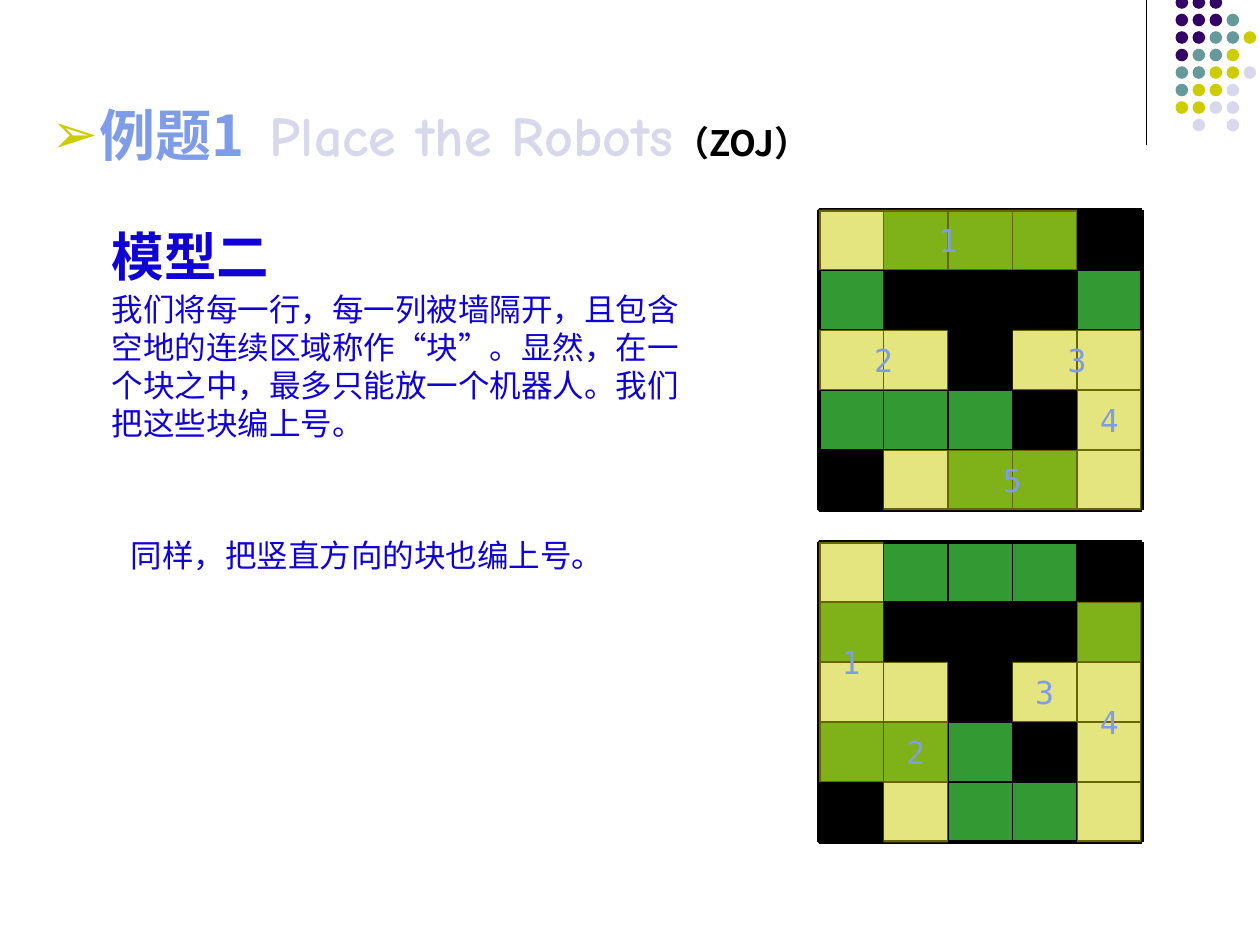
from dataclasses import dataclass

import pptx
import pptx.dml.color
import pptx.enum.shapes
import pptx.enum.text
import pptx.oxml
import pptx.oxml.ns
import pptx.util
from pptx.util import Inches, Pt

WIDTH, HEIGHT = 10, 7.5
COLORS = {
    "black": "000000", "purple": "330066", "teal": "669999", "olive": "CCCC00",
    "lilac": "D8D8EC", "green": "339933", "blue": "1001D5", "sky": "7E9CE8",
}
CJK = "Noto Sans CJK SC"
SHAPE = pptx.enum.shapes.MSO_SHAPE
ANCHOR = pptx.enum.text.MSO_ANCHOR
ALIGN = pptx.enum.text.PP_ALIGN

DOT_KEYS = {"P": "purple", "T": "teal", "O": "olive", "L": "lilac"}
DOT_ROWS = ["PPP", "PPPT", "PPTTO", "PTTO", "TTOOL", "TOOL", "OOLL", " L L"]
DOT_LEFT, DOT_TOP, DOT_SIZE = 0.933 * WIDTH, -0.004 * HEIGHT, 0.1
DOT_STEP_X, DOT_STEP_Y = 0.135, 0.139

# G is grass, W is wall, a point is an empty square
CELL_KEYS = {"G": "green", "W": "black"}
CELL_ROWS = [".GGGW", "GWWWG", "..W..", "GGGW.", "W.GG."]
COLUMN, ROW = 2.56 / 5, 2.385 / 5
BOARD_LEFT = 0.65 * WIDTH


@dataclass
class Span:
    text: str
    font: str
    color: str
    size: float
    bold: bool = False


@dataclass
class Block:
    """A numbered run of squares, measured in board columns and rows."""
    label: str
    column: int
    row: int
    columns: int = 1
    rows: int = 1


@dataclass
class Board:
    top: float
    blocks: list[Block]


BOARDS = [
    Board(1.665, [Block("1", 0, 0, columns=4), Block("2", 0, 2, columns=2),
                  Block("3", 3, 2, columns=2), Block("4", 4, 3),
                  Block("5", 1, 4, columns=4)]),
    Board(4.3, [Block("1", 0, 0, rows=4), Block("2", 1, 2, rows=3),
                Block("3", 3, 2), Block("4", 4, 1, rows=4)]),
]


def rgb(name: str):
    return pptx.dml.color.RGBColor.from_string(COLORS[name])


def write(frame, spans: list[Span], align=ALIGN.LEFT, anchor=ANCHOR.TOP,
          line_spacing=None, bullet: str = "") -> None:
    frame.word_wrap = True
    frame.vertical_anchor = anchor
    paragraph = frame.paragraphs[0]
    paragraph.alignment = align
    if line_spacing:
        paragraph.line_spacing = line_spacing
    if bullet:
        add_bullet(paragraph, bullet, "olive", 0.38)
    for span in spans:
        run = paragraph.add_run()
        run.text = span.text
        run.font.name = span.font
        run.font.size = Pt(span.size)
        run.font.bold = span.bold
        run.font.color.rgb = rgb(span.color)
        east_asian = pptx.oxml.parse_xml(
            f'<a:ea {pptx.oxml.ns.nsdecls("a")} typeface="{CJK}"/>')
        run.font._element.find(pptx.oxml.ns.qn("a:latin")).addnext(east_asian)


def add_bullet(paragraph, symbol: str, color: str, indent: float) -> None:
    properties = paragraph._p.get_or_add_pPr()
    properties.set("marL", str(Inches(indent)))
    properties.set("indent", str(-Inches(indent)))
    names = pptx.oxml.ns.nsdecls("a")
    for xml in (f'<a:buClr {names}><a:srgbClr val="{COLORS[color]}"/></a:buClr>',
                f'<a:buFont {names} typeface="Arial"/>',
                f'<a:buChar {names} char="{symbol}"/>'):
        properties.append(pptx.oxml.parse_xml(xml))


def add_text(page, left: float, top: float, width: float, height: float,
             spans: list[Span], **options) -> None:
    box = page.shapes.add_textbox(*map(Inches, (left, top, width, height)))
    write(box.text_frame, spans, **options)


def add_shape(shapes, kind, left: float, top: float, width: float, height: float,
              fill: str | None, outline: str | None = None, alpha: int = 100):
    shape = shapes.add_shape(kind, *map(Inches, (left, top, width, height)))
    shape.shadow.inherit = False
    if fill:
        shape.fill.solid()
        shape.fill.fore_color.rgb = rgb(fill)
    else:
        shape.fill.background()
    if alpha < 100:
        color = shape._element.spPr.find(".//" + pptx.oxml.ns.qn("a:srgbClr"))
        color.append(pptx.oxml.parse_xml(
            f'<a:alpha {pptx.oxml.ns.nsdecls("a")} val="{alpha * 1000}"/>'))
    if outline:
        shape.line.color.rgb = rgb(outline)
        shape.line.width = Pt(0.75)
    else:
        shape.line.fill.background()
    return shape


def add_line(shapes, start: tuple[float, float], end: tuple[float, float],
             width: float) -> None:
    line = shapes.add_connector(pptx.enum.shapes.MSO_CONNECTOR.STRAIGHT,
                                *map(Inches, (*start, *end)))
    line.line.color.rgb = rgb("black")
    line.line.width = Pt(width)
    line._element.spPr.append(pptx.oxml.parse_xml(
        f'<a:effectLst {pptx.oxml.ns.nsdecls("a")}/>'))


def add_dots(page) -> None:
    shapes = page.shapes.add_group_shape().shapes
    for row, keys in enumerate(DOT_ROWS):
        for column, key in enumerate(keys):
            if key in DOT_KEYS:
                add_shape(shapes, SHAPE.OVAL, DOT_LEFT + column * DOT_STEP_X,
                          DOT_TOP + row * DOT_STEP_Y, DOT_SIZE, DOT_SIZE,
                          DOT_KEYS[key])


def add_board(page, board: Board) -> None:
    shapes = page.shapes.add_group_shape().shapes
    for row, keys in reversed(list(enumerate(CELL_ROWS))):
        for column, key in reversed(list(enumerate(keys))):
            add_shape(shapes, SHAPE.RECTANGLE, BOARD_LEFT + column * COLUMN,
                      board.top + row * ROW, COLUMN, ROW,
                      CELL_KEYS.get(key), outline="black")
    right, bottom = BOARD_LEFT + 5 * COLUMN, board.top + 5 * ROW
    for y in (board.top, bottom):
        add_line(shapes, (BOARD_LEFT, y), (right, y), 2.25)
    for x in (BOARD_LEFT, right):
        add_line(shapes, (x, board.top), (x, bottom), 2.25)
    for block in board.blocks:
        shape = add_shape(shapes, SHAPE.RECTANGLE,
                          BOARD_LEFT + block.column * COLUMN,
                          board.top + block.row * ROW,
                          block.columns * COLUMN, block.rows * ROW,
                          "olive", alpha=50)
        write(shape.text_frame, [Span(block.label, "DejaVu Sans Mono", "sky", 18)],
              align=ALIGN.CENTER, anchor=ANCHOR.MIDDLE)


def main() -> None:
    deck = pptx.Presentation()
    deck.slide_width, deck.slide_height = Inches(WIDTH), Inches(HEIGHT)
    page = deck.slides.add_slide(deck.slide_layouts[6])

    add_line(page.shapes, (9.1, 0), (9.1, 1.15), 0.75)
    add_dots(page)
    add_text(page, 0.31, 0.75, 9.34, 0.63, [
        Span("例题1  ", CJK, "sky", 32, bold=True),
        Span("Place the Robots", "Comic Neue", "lilac", 32, bold=True),
        Span("（ZOJ）", CJK, "black", 20, bold=True),
    ], anchor=ANCHOR.MIDDLE, bullet="➢")
    add_text(page, 0.79, 1.59, 4.59, 0.7,
             [Span("模型二", "Arial", "blue", 30, bold=True)], line_spacing=Pt(46))
    explanation = [
        ("我们将每一行，每一列被墙隔开，且包含空地的连续区域称作", "Arial"),
        ("“", CJK), ("块", "Arial"), ("”", CJK),
        ("。显然，在一个块之中，最多只能放一个机器人。我们把这些块编上号。", "Arial"),
    ]
    add_text(page, 0.79, 2.25, 4.92, 1.3,
             [Span(text, font, "blue", 18) for text, font in explanation],
             line_spacing=Pt(21.7))
    add_text(page, 0.94, 4.2, 5.28, 0.4,
             [Span("同样，把竖直方向的块也编上号。", CJK, "blue", 18)],
             line_spacing=Pt(21.7))
    for board in BOARDS:
        add_board(page, board)
    deck.save("out.pptx")


if __name__ == "__main__":
    main()
